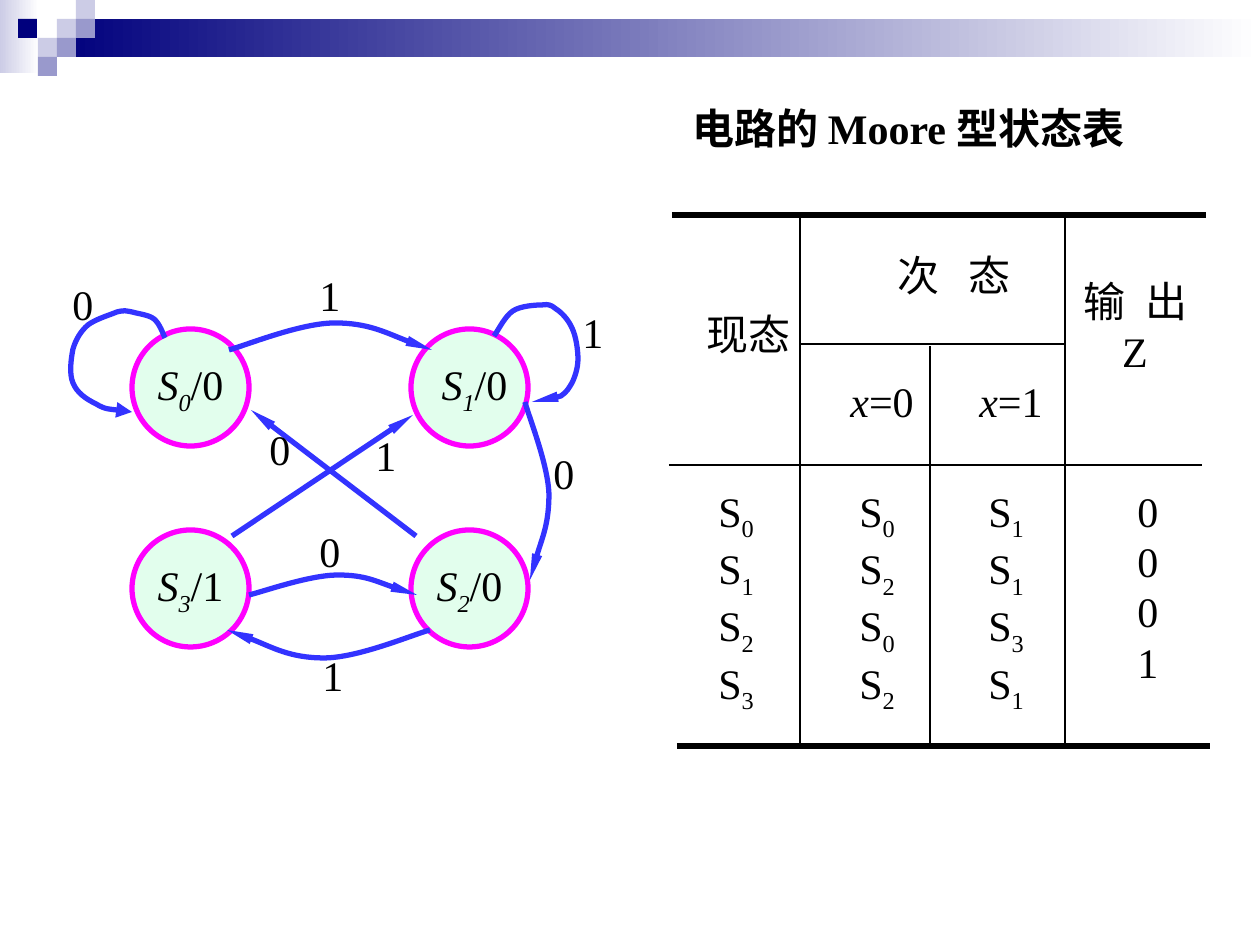
from lxml import etree
from pptx import Presentation
from pptx.dml.color import RGBColor as RGB
from pptx.enum.shapes import MSO_CONNECTOR as LINK, MSO_SHAPE as SHAPE
from pptx.enum.text import MSO_ANCHOR as ANCHOR, PP_ALIGN as ALIGN
from pptx.oxml.ns import qn
from pptx.util import Emu, Pt

BLACK, WHITE = RGB(0, 0, 0), RGB(255, 255, 255)
NAVY, PALE, LILAC = RGB(0, 0, 0x7D), RGB(0xCC, 0xCC, 0xE6), RGB(0x99, 0x99, 0xCC)
BLUE, PINK, MINT = RGB(0x33, 0x33, 0xFF), RGB(255, 0, 255), RGB(0xE2, 0xFE, 0xED)
FONT, SIZE = "Times New Roman", 24
SCALE = 914400 / 126
TILE, DISC = 19, 117

BANDS = [(0, 0, 39, 73, PALE), (57, 19, 1203, 38, NAVY)]
TILES = [(57, 19, PALE), (76, 0, PALE), (76, 19, LILAC), (38, 38, PALE),
         (18, 19, NAVY), (57, 38, LILAC), (38, 57, LILAC)]
RULES = [(672, 215, 1206, 215, 3), (677, 746, 1210, 746, 3),
         (800, 215, 800, 746, 1.5), (930, 346, 930, 748, 1.5),
         (1065, 215, 1065, 746, 1.5), (800, 344, 1065, 344, 1),
         (669, 465, 1202, 465, 1)]

# A run is (text, style): b bold, i italic, s subscript, or a tracking in points
TITLE = [[("电路的 Moore 型状态表", "b")]]
HEADS = [
    (694, 302, 110, 63, [[("现态", "")]]),
    (885, 243, 141, 63, [[("次", ""), (" ", 11), ("态", "")]]),
    (838, 369, 100, 63, [[("x", "i"), ("=0", "")]]),
    (967, 369, 100, 63, [[("x", "i"), ("=1", "")]]),
]
OUTPUT = [[("输", ""), (" ", 6), ("出", "")], [("Z", "")]]
STATES = [(706, 62, "0123"), (847, 62, "0202"), (976, 62, "1131")]
VALUES = (1125, 47, "0001")

# Left, top, number, output, left inset
NODES = [(132, 329, "0", "/0", 0), (411, 329, "1", "/0", 10),
         (411, 530, "2", "/0", 0), (132, 530, "3", "/1", 0)]
# Start point, then three points for each curve
CURVES = [
    [(494, 336), (498, 331), (505, 316), (513, 311), (520, 306), (536, 305),
     (542, 305), (549, 304), (551, 305), (556, 309), (561, 312), (568, 319),
     (572, 328), (576, 336), (578, 350), (578, 359), (578, 368), (575, 377),
     (572, 383), (569, 388), (567, 392), (561, 396), (554, 398), (538, 401),
     (532, 402)],
    [(249, 595), (265, 591), (310, 575), (338, 575), (365, 575), (399, 590), (417, 595)],
    [(430, 630), (412, 635), (358, 658), (324, 658), (290, 658), (247, 636), (227, 630)],
    [(525, 402), (529, 417), (548, 464), (549, 494), (549, 524), (534, 562), (530, 580)],
    [(229, 350), (247, 345), (301, 323), (335, 323), (369, 323), (412, 344), (432, 350)],
]
LOOP = [(132, 412), (126, 411), (106, 410), (96, 404), (86, 399), (77, 393),
        (73, 383), (69, 374), (71, 359), (73, 349), (76, 339), (81, 331),
        (88, 325), (96, 319), (110, 315), (117, 312), (125, 310), (126, 311),
        (132, 312), (139, 314), (149, 315), (154, 319), (160, 324), (163, 334),
        (165, 338)]
CROSS = [(232, 536, 413, 415), (416, 536, 251, 410)]
LABELS = [(570, 300, "1"), (307, 519, "0"), (310, 643, "1"), (541, 441, "0"),
          (60, 272, "0"), (363, 423, "1"), (257, 417, "0"), (307, 263, "1")]

deck = Presentation()
deck.slide_width, deck.slide_height = Emu(9144000), Emu(6858000)
shapes = deck.slides.add_slide(deck.slide_layouts[6]).shapes


def px(*nums):
    return [Emu(round(n * SCALE)) for n in nums]


def write(frame, rows, align=ALIGN.LEFT, wrap=False):
    frame.word_wrap = wrap
    for n, row in enumerate(rows):
        para = frame.add_paragraph() if n else frame.paragraphs[0]
        para.alignment = align
        for text, style in row:
            run = para.add_run()
            run.text = text
            font = run.font
            font.name, font.size, font.color.rgb = FONT, Pt(SIZE), BLACK
            props = run._r.get_or_add_rPr()
            if isinstance(style, int):
                props.set("spc", str(style * 100))
                continue
            font.bold, font.italic = "b" in style, "i" in style
            if "s" in style:
                props.set("baseline", "-25000")


def box(x, y, w, h, rows, **opts):
    write(shapes.add_textbox(*px(x, y, w, h)).text_frame, rows, **opts)


def block(x, y, w, h, color, fade=False):
    rect = shapes.add_shape(SHAPE.RECTANGLE, *px(x, y, w, h))
    rect.shadow.inherit = False
    rect.line.fill.background()
    if fade:
        rect.fill.gradient()
        rect.fill.gradient_angle = 0
        for stop, tint in zip(rect.fill.gradient_stops, (color, WHITE)):
            stop.color.rgb = tint
    else:
        rect.fill.solid()
        rect.fill.fore_color.rgb = color


def stroke(item, color, width):
    item.line.color.rgb, item.line.width = color, Pt(width)


def tip(item, end="tailEnd", wide="sm", long="lg"):
    etree.SubElement(item.line._get_or_add_ln(), qn("a:" + end),
                     type="triangle", w=wide, len=long)


def rule(x1, y1, x2, y2, width, color=BLACK):
    link = shapes.add_connector(LINK.STRAIGHT, *px(x1, y1, x2, y2))
    stroke(link, color, width)
    etree.SubElement(link._element.spPr, qn("a:effectLst"))
    return link


def curve(points):
    """Draw an open outline and turn each three segments into one Bézier."""
    pen = shapes.build_freeform(*points[0], scale=SCALE)
    pen.add_line_segments(points[1:], close=False)
    item = pen.convert_to_shape()
    item.shadow.inherit = False
    item.fill.background()
    stroke(item, BLUE, 3)
    track = item._element.find(".//" + qn("a:path"))
    legs = track.findall(qn("a:lnTo"))
    for n in range(0, len(legs), 3):
        bend = etree.SubElement(track, qn("a:cubicBezTo"))
        for leg in legs[n:n + 3]:
            bend.append(leg[0])
            track.remove(leg)
    return item


def node(x, y, num, out, inset):
    disc = shapes.add_shape(SHAPE.OVAL, *px(x, y, DISC, DISC))
    disc.shadow.inherit = False
    disc.fill.solid()
    disc.fill.fore_color.rgb = MINT
    stroke(disc, PINK, 3)
    frame = disc.text_frame
    frame.vertical_anchor = ANCHOR.MIDDLE
    frame.margin_left, frame.margin_right = px(13 + inset, 13)
    write(frame, [[("S", "i"), (num, "is"), (out, "")]], ALIGN.CENTER)


for band in BANDS:
    block(*band, fade=True)
for x, y, color in TILES:
    block(x, y, TILE, TILE, color)

box(680, 96, 460, 63, TITLE, wrap=True)
for line in RULES:
    rule(*line)
for head in HEADS:
    box(*head)
box(1070, 269, 130, 115, OUTPUT, align=ALIGN.CENTER)
for x, w, nums in STATES:
    box(x, 479, w, 217, [[("S", ""), (n, "s")] for n in nums])
x, w, nums = VALUES
box(x, 479, w, 217, [[(n, "")] for n in nums])

for spot in NODES:
    node(*spot)
for points in CURVES:
    tip(curve(points))
tip(curve(LOOP), "headEnd", "med", "med")
for line in CROSS:
    tip(rule(*line, 3, BLUE))
for x, y, text in LABELS:
    box(x, y, 47, 63, [[(text, "")]])

deck.save("out.pptx")
